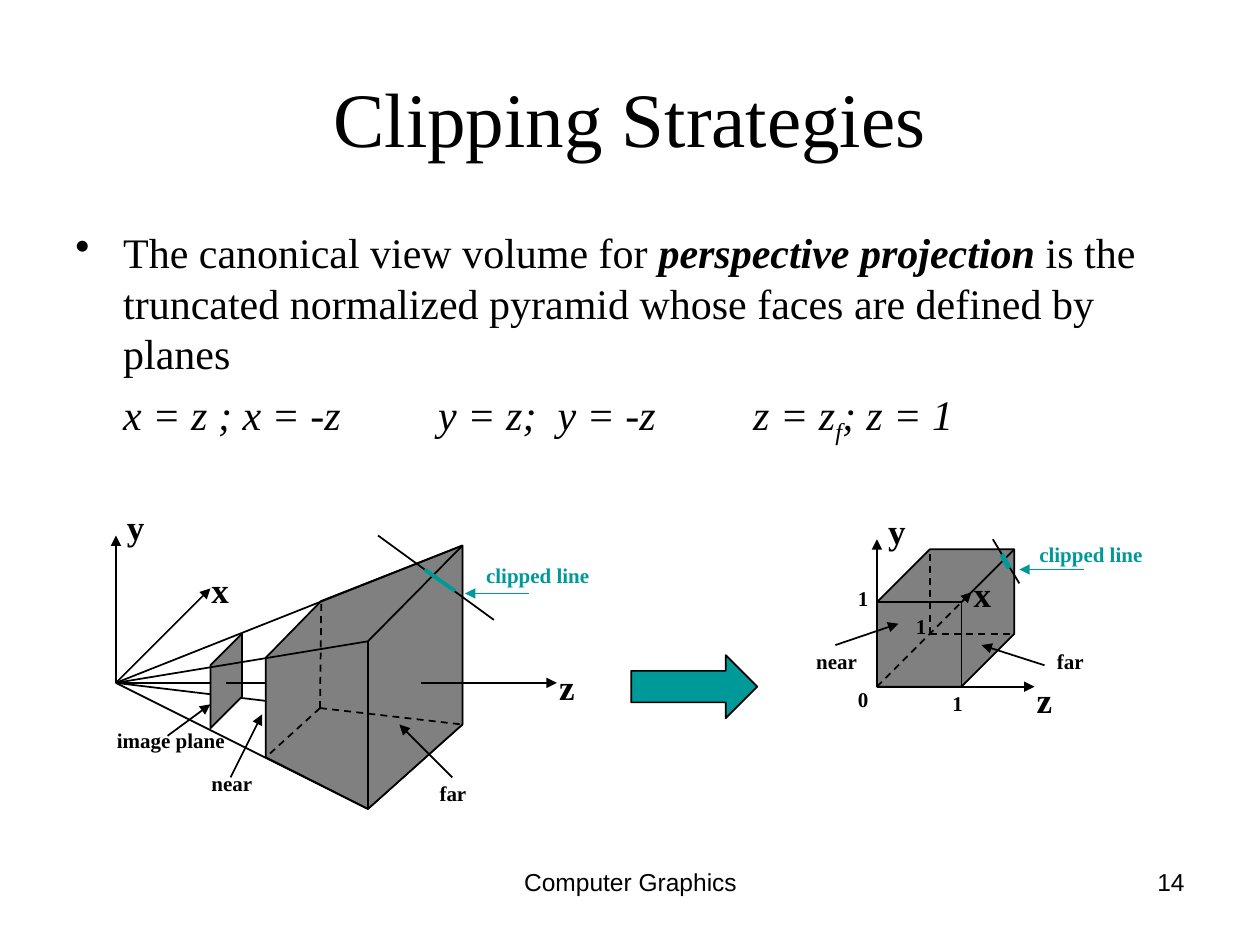
from lxml.etree import SubElement
from pptx import Presentation
from pptx.dml.color import RGBColor
from pptx.enum.dml import MSO_LINE
from pptx.enum.shapes import MSO_CONNECTOR, MSO_SHAPE
from pptx.enum.text import MSO_ANCHOR, PP_ALIGN
from pptx.oxml.ns import qn
from pptx.util import Inches, Pt

COLORS = {"ink": "000000", "face": "808080", "accent": "009999"}
SERIF, SANS = "Times New Roman", "Arial"
LABEL_WIDTHS = {"x": 0.34, "y": 0.34, "z": 0.33, "near": 0.53, "far": 0.42,
                "0": 0.29, "1": 0.29, "clipped line": 1.02, "image plane": 1.06}


def color(name):
    return RGBColor.from_string(COLORS[name])


def style_font(font, size, name=SERIF, ink="ink"):
    font.size = Pt(size)
    font.name = name
    font.color.rgb = color(ink)


def style_shape(shape, fill):
    shape.shadow.inherit = False
    shape.fill.solid()
    shape.fill.fore_color.rgb = color(fill)
    shape.line.color.rgb = color("ink")
    shape.line.width = Pt(1)


def add_text(page, box, text, size, name=SERIF, align=PP_ALIGN.LEFT):
    shape = page.shapes.add_textbox(*map(Inches, box))
    frame = shape.text_frame
    frame.word_wrap = True
    frame.text = text
    para = frame.paragraphs[0]
    para.alignment = align
    style_font(para.runs[0].font, size, name)
    return shape


class Diagram:
    """Draws on a page with lengths measured in inches from an origin."""

    def __init__(self, page, origin):
        self.shapes = page.shapes
        self.origin = origin

    def place(self, point):
        return [Inches(start + step) for start, step in zip(self.origin, point)]

    def line(self, start, end, arrow=False, dash=False, ink="ink", width=1):
        connector = self.shapes.add_connector(
            MSO_CONNECTOR.STRAIGHT, *self.place(start), *self.place(end))
        connector.line.color.rgb = color(ink)
        connector.line.width = Pt(width)
        if dash:
            connector.line.dash_style = MSO_LINE.DASH
        properties = connector.element.spPr
        if arrow:
            SubElement(properties.find(qn("a:ln")), qn("a:tailEnd"), type="triangle")
        SubElement(properties, qn("a:effectLst"))

    def face(self, *corners):
        first, *others = map(self.place, corners)
        builder = self.shapes.build_freeform(*first)
        builder.add_line_segments(others, close=True)
        style_shape(builder.convert_to_shape(), "face")

    def label(self, text, corner, size=12, ink="ink"):
        height = 0.4 if size == 20 else 0.28
        shape = self.shapes.add_textbox(
            *self.place(corner), Inches(LABEL_WIDTHS[text]), Inches(height))
        frame = shape.text_frame
        frame.word_wrap = False
        frame.text = text
        para = frame.paragraphs[0]
        para.line_spacing = 0.9
        style_font(para.runs[0].font, size, ink=ink)
        para.runs[0].font.bold = True


def add_body(page, box):
    frame = add_text(page, box, "The canonical view volume for ", 24).text_frame
    statement, formulas = frame.paragraphs[0], frame.add_paragraph()
    spans = [
        (statement, "perspective projection", True, True),
        (statement, " is the truncated normalized pyramid whose faces are "
                    "defined by planes", False, False),
        (formulas, "\tx = z ; x = -z\t\ty = z;  y = -z\t\tz = z", False, True),
        (formulas, "f", False, True),
        (formulas, "; z = 1", False, True),
    ]
    for para, text, bold, italic in spans:
        span = para.add_run()
        span.text = text
        style_font(span.font, 24)
        span.font.bold, span.font.italic = bold, italic
        if text == "f":
            span.font._element.set("baseline", "-25000")

    formulas.space_before = Pt(6)
    for para, first_tab in ((statement, 1), (formulas, 0)):
        properties = para._p.get_or_add_pPr()
        properties.set("marL", str(Inches(0.38)))
        properties.set("indent", str(-Inches(0.38)))
        if para is statement:
            SubElement(properties, qn("a:buChar"), char="•")
        else:
            SubElement(properties, qn("a:buNone"))
        tabs = SubElement(properties, qn("a:tabLst"))
        for position in range(first_tab, first_tab + 8):
            SubElement(tabs, qn("a:tab"), pos=str(Inches(position)), algn="l")


def add_pyramid(page, origin):
    diagram = Diagram(page, origin)
    eye = (0, 0)
    far_top, far_bottom = (2.75, -1.09), (2.75, 0.33)
    front_top, front_bottom = (2, -0.33), (2, 1)
    near_top, near_bottom = (1.19, -0.2), (1.19, 0.59)
    back_top, back_bottom = (1.63, -0.65), (1.62, 0.2)

    diagram.line(eye, (0.75, 0))
    diagram.line(eye, far_bottom)
    diagram.line(eye, (0, -1.17), arrow=True)
    diagram.line(eye, (0.75, -0.75), arrow=True)
    diagram.face((0.75, -0.14), (0.75, 0.36), (1, 0.11), (1, -0.39))
    diagram.line((0.87, 0), (1.41, 0))
    diagram.face(far_top, back_top, near_top, near_bottom, front_bottom, far_bottom)
    diagram.face(far_top, front_top, front_bottom, far_bottom)
    diagram.line((2.42, 0), (3.5, 0), arrow=True)
    for corner in (back_top, near_bottom, far_bottom):
        diagram.line(back_bottom, corner, dash=True)
    for corner in (far_top, front_top, front_bottom):
        diagram.line(eye, corner)

    for text, corner in (("x", (0.66, -0.92)), ("y", (-0.01, -1.42)),
                         ("z", (3.42, -0.15))):
        diagram.label(text, corner, size=20)
    for text, corner, start, end in (
            ("image plane", (-0.09, 0.33), (0.41, 0.42), (0.75, 0.17)),
            ("near", (0.66, 0.67), (0.91, 0.75), (1.16, 0.25)),
            ("far", (2.47, 0.75), (2.67, 0.75), (2.25, 0.33))):
        diagram.label(text, corner)
        diagram.line(start, end, arrow=True)
    diagram.line((2.08, -1.17), (3, -0.5))
    diagram.line((2.45, -0.9), (2.69, -0.73), ink="accent", width=2.25)
    diagram.label("clipped line", (2.84, -0.98), ink="accent")
    diagram.line((3.28, -0.71), (2.77, -0.71), arrow=True, ink="accent")


def add_cube(page, origin):
    diagram = Diagram(page, origin)
    side, depth = 0.67, 0.42
    corner, top_left = (0, 0), (0, -side)
    top_right, bottom_right = (side, -side), (side, 0)
    back_corner, back_top_left = (depth, -depth), (depth, -side - depth)
    back_top_right, back_bottom_right = (side + depth, -side - depth), (side + depth, -depth)

    diagram.face(corner, top_left, back_top_left, back_top_right,
                 back_bottom_right, bottom_right)
    diagram.line(corner, (1.25, 0), arrow=True)
    diagram.line(corner, (0, -1.17), arrow=True)
    diagram.line(corner, (0.75, -0.75), arrow=True, dash=True)
    for end in (top_left, bottom_right, back_top_right):
        diagram.line(top_right, end)
    for end in (back_bottom_right, back_top_left):
        diagram.line(back_corner, end, dash=True)

    for text, place in (("x", (0.67, -0.92)), ("y", (-0.01, -1.42)),
                        ("z", (1.17, -0.08))):
        diagram.label(text, place, size=20)
    for text, place in (("1", (0.5, 0)), ("1", (-0.25, -0.83)),
                        ("1", (0.21, -0.61)), ("0", (-0.25, -0.03))):
        diagram.label(text, place)
    for text, place, start, end in (
            ("near", (-0.58, -0.33), (-0.33, -0.33), (0.17, -0.5)),
            ("far", (1.33, -0.33), (1.33, -0.17), (0.83, -0.33))):
        diagram.label(text, place)
        diagram.line(start, end, arrow=True)
    diagram.line((0.92, -1.17), (1.13, -0.82))
    diagram.line((0.99, -1.05), (1.05, -0.94), ink="accent", width=3)
    diagram.label("clipped line", (1.19, -1.18), ink="accent")
    diagram.line((1.64, -0.93), (1.13, -0.93), arrow=True, ink="accent")


def main():
    deck = Presentation()
    deck.slide_width, deck.slide_height = Inches(10), Inches(7.5)
    page = deck.slides.add_slide(deck.slide_layouts[6])
    title = add_text(page, (0.5, 0.3, 9, 1.25), "Clipping Strategies", 44,
                     align=PP_ALIGN.CENTER)
    title.text_frame.vertical_anchor = MSO_ANCHOR.MIDDLE
    add_body(page, (0.5, 1.75, 9, 4.95))
    add_cube(page, (6.96, 5.45))
    add_pyramid(page, (0.92, 5.42))
    arrow = page.shapes.add_shape(
        MSO_SHAPE.RIGHT_ARROW, *map(Inches, (5.01, 5.2, 1, 0.5)))
    style_shape(arrow, "accent")
    add_text(page, (3.42, 6.83, 3.17, 0.52), "Computer Graphics", 14, SANS, PP_ALIGN.CENTER)
    add_text(page, (7.17, 6.83, 2.33, 0.52), "14", 14, SANS, PP_ALIGN.RIGHT)
    deck.save("out.pptx")


if __name__ == "__main__":
    main()
